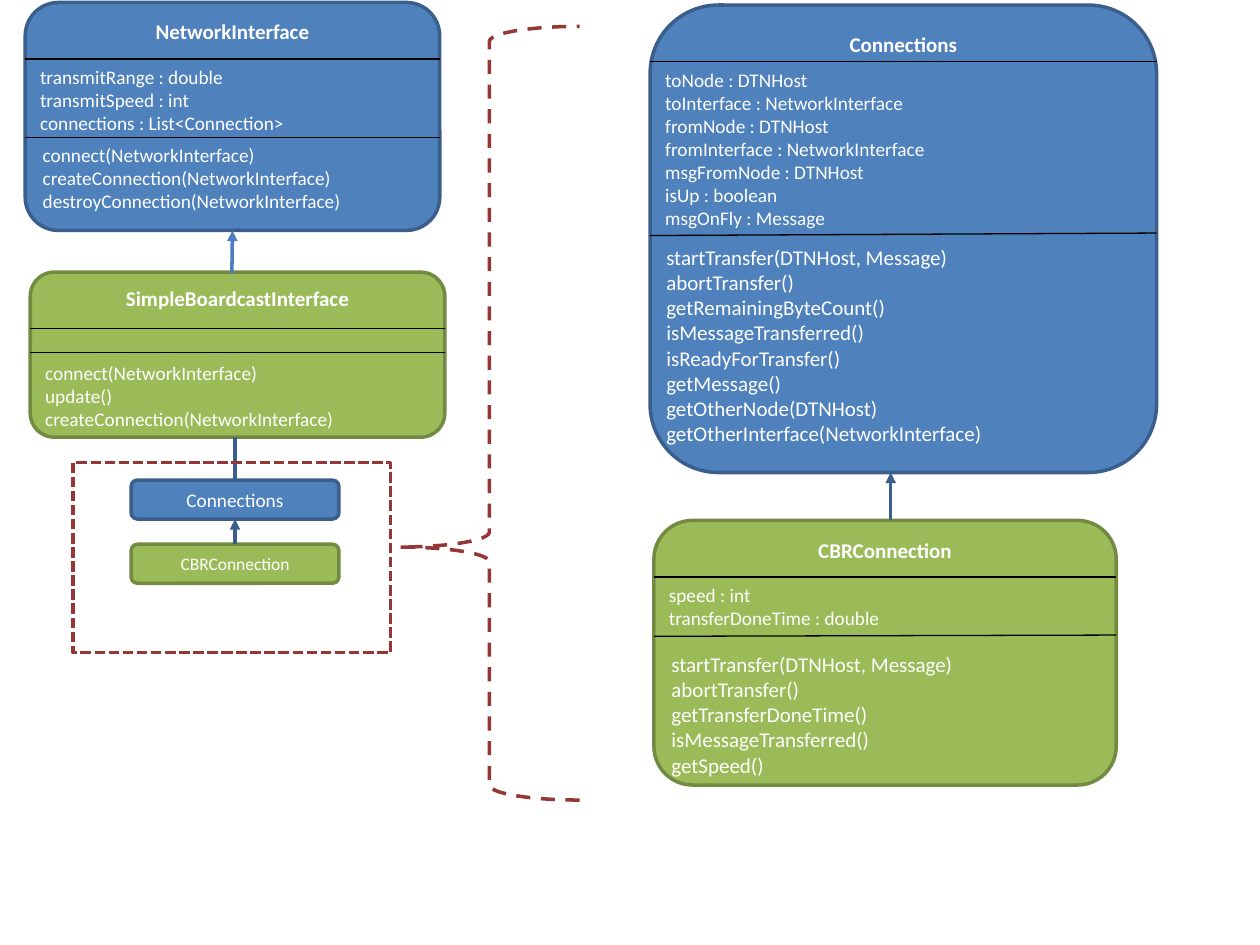
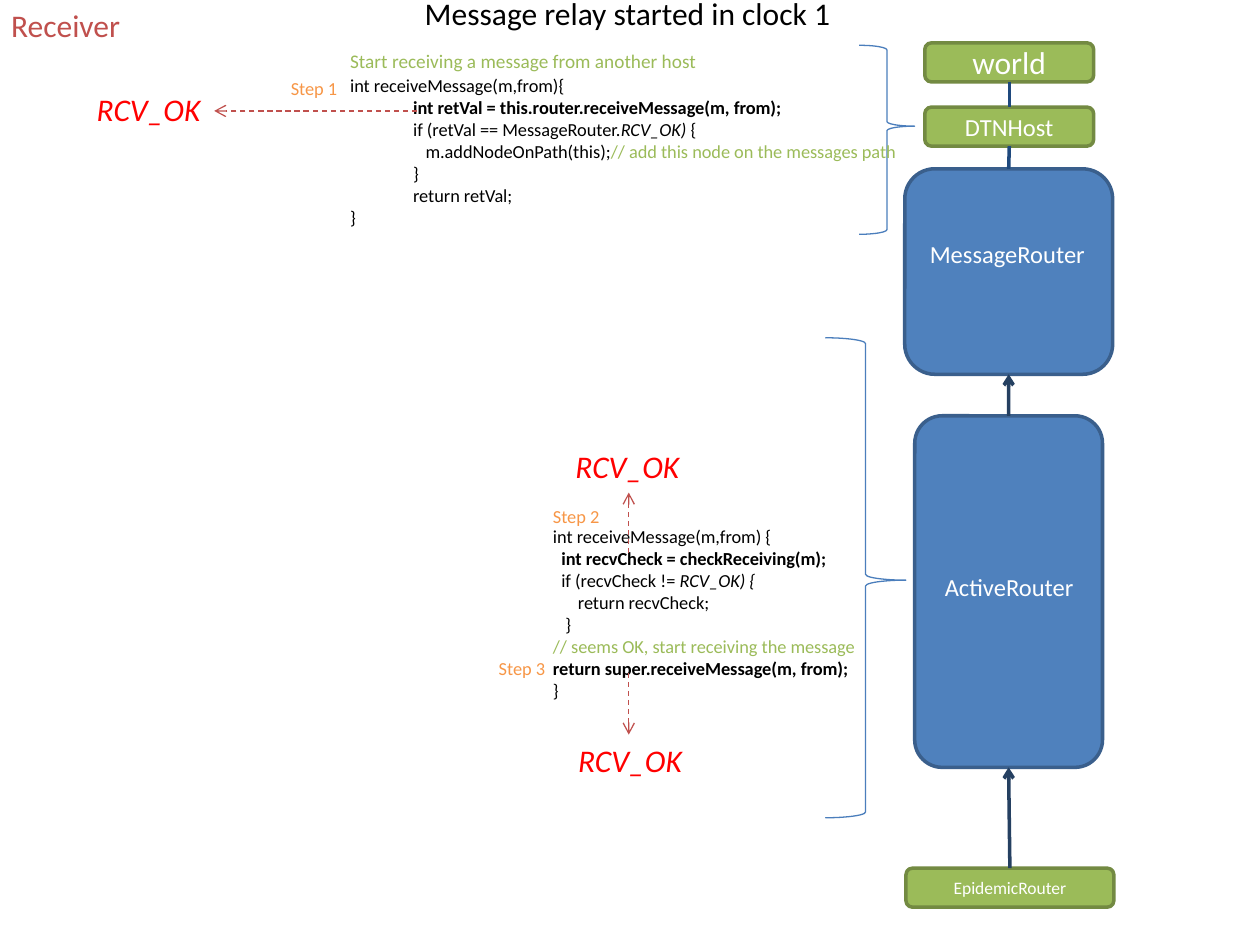
from lxml.etree import SubElement
from pptx import Presentation
from pptx.dml.color import RGBColor
from pptx.enum.dml import MSO_LINE
from pptx.enum.shapes import MSO_CONNECTOR, MSO_SHAPE
from pptx.enum.text import MSO_ANCHOR, PP_ALIGN
from pptx.oxml.ns import qn
from pptx.util import Pt

FONT = "Calibri"
WHITE, BLACK = "FFFFFF", "000000"
BLUE, BLUE_EDGE, BRACE_BLUE = "4F81BD", "3A5F8C", "4B7EBC"
GREEN, GREEN_EDGE = "9BBB59", "738A42"
NAVY, DARK_NAVY = "1F497D", "254061"
MAROON, BRICK, RED, ORANGE = "953735", "C0504D", "FF0000", "F79646"
EDGES = {BLUE: BLUE_EDGE, GREEN: GREEN_EDGE}
CORNER = 0.146
TOP, BOTTOM = 0, 2

CLASS_CARDS = [
    {"name": "NetworkInterface", "at": (14.4, 1.4, 236.9, 130.3), "fill": BLUE,
     "dividers": [(33.8, 33.8), (78.5, 78.5)],
     "members": [
         ((15.8, 33.8, 212.4, 47.5), 11,
          ["transmitRange : double", "transmitSpeed : int",
           "connections : List<Connection>"]),
         ((17.3, 78.5, 186.5, 60.5), 11,
          ["connect(NetworkInterface)", "createConnection(NetworkInterface)",
           "destroyConnection(NetworkInterface)"])]},
    {"name": "SimpleBoardcastInterface", "at": (17.3, 155.5, 236.9, 94.3), "fill": GREEN,
     "dividers": [(187.9, 187.9), (201.6, 201.6)],
     "members": [
         ((18.7, 203, 181.4, 47.5), 11,
          ["connect(NetworkInterface)", "update()",
           "createConnection(NetworkInterface)"])]},
    {"name": "Connections", "at": (371.5, 2.9, 289.4, 267.1), "fill": BLUE,
     "dividers": [(35.3, 35.3), (134.6, 133.2)],
     "members": [
         ((373, 35.3, 212.4, 100.8), 11,
          ["toNode : DTNHost", "toInterface : NetworkInterface",
           "fromNode : DTNHost", "fromInterface : NetworkInterface",
           "msgFromNode : DTNHost", "isUp : boolean", "msgOnFly : Message"]),
         ((373.7, 136.1, 196.6, 123.8), 12,
          ["startTransfer(DTNHost, Message)", "abortTransfer()",
           "getRemainingByteCount()", "isMessageTransferred()",
           "isReadyForTransfer()", "getMessage()", "getOtherNode(DTNHost)",
           "getOtherInterface(NetworkInterface)"])]},
    {"name": "CBRConnection", "at": (373.7, 297.4, 264.2, 151.2), "fill": GREEN,
     "dividers": [(329.8, 329.8), (363.6, 362.9)],
     "members": [
         ((375.1, 329.8, 212.4, 33.8), 11,
          ["speed : int", "transferDoneTime : double"]),
         ((376.6, 368.6, 177.1, 79.9), 12,
          ["startTransfer(DTNHost, Message)", "abortTransfer()",
           "getTransferDoneTime()", "isMessageTransferred()", "getSpeed()"])]},
]

STYLES = {
    "plain": {},
    "bold": {"bold": True},
    "italic": {"italic": True},
    "comment": {"color": GREEN},
}
HOST_CODE = [
    (0, [("int receiveMessage(m,from){", "plain")]),
    (36, [("int retVal = this.router.receiveMessage(m, from);", "bold")]),
    (36, [("if (retVal == MessageRouter.", "plain"), ("RCV_OK) ", "italic"), ("{", "plain")]),
    (43.1, [("m.addNodeOnPath(this);", "plain"),
            ("// add this node on the messages path", "comment")]),
    (36, [("}", "plain")]),
    (36, [("return retVal;", "plain")]),
    (0, [("}", "plain")]),
]
ROUTER_CODE = [
    (0, [("int receiveMessage(m,from) {", "plain")]),
    (4.75, [("int recvCheck = checkReceiving(m);", "bold")]),
    (4.75, [("if (recvCheck != ", "plain"), ("RCV_OK) {", "italic")]),
    (14.25, [("return recvCheck;", "plain")]),
    (7.1, [("}", "plain")]),
    (0, [("// seems OK, start receiving the message", "comment")]),
    (0, [("return super.receiveMessage(m, from);", "bold")]),
    (0, [("}", "plain")]),
]
STEPS = [("Step 1", 159.1, 40.3), ("Step 2", 308.9, 285.1), ("Step 3", 277.9, 372.2)]
RESULTS = [(48.2, 48.2), (321.8, 252), (323.3, 419.8)]
RESULT_ARROWS = [
    ((238.3, 63.4), (122.4, 63.4)),
    ((359.3, 316.1), (359.3, 281.5)),
    ((359.3, 384.5), (359.3, 419.8)),
]
HOST_STACK = [
    ("world", (528.5, 24.5, 96.5, 22.3), GREEN, 18),
    ("DTNHost", (528.5, 61.2, 96.5, 22.3), GREEN, 14),
    ("", (517, 96.5, 118.8, 117.4), BLUE, 14),
    ("", (522.7, 237.6, 107.3, 200.9), BLUE, 14),
    ("EpidemicRouter", (517.7, 496.1, 118.8, 22.3), GREEN, 10),
]
ROUTER_LABELS = [("MessageRouter", (524.2, 133.2, 104.4, 24.5)),
                 ("ActiveRouter", (532.8, 323.3, 89.3, 24.5))]
BRACES = [((491, 25.9, 31.7, 108), (0.083, 0.428)),
          ((471.6, 193, 46.1, 274.3), (0.072, 0.505))]


def rgb(color):
    return RGBColor.from_string(color)


def points(values):
    return [Pt(value) for value in values]


def style_font(font, color, bold=None, italic=None):
    font.color.rgb = rgb(color)
    font.bold = bold
    font.italic = italic


def write(frame, lines, size, color, align=PP_ALIGN.LEFT, style="plain"):
    for number, line in enumerate(lines):
        indent, spans = (0, [(line, style)]) if isinstance(line, str) else line
        para = frame.paragraphs[0] if number == 0 else frame.add_paragraph()
        para.alignment = align
        para.font.name = FONT
        para.font.size = Pt(size)
        if indent:
            properties = para._p.get_or_add_pPr()
            properties.set("marL", str(Pt(indent)))
            properties.set("indent", "0")
        for text, kind in spans:
            span = para.add_run()
            span.text = text
            target = para.font if len(spans) == 1 else span.font
            style_font(target, **{"color": color, **STYLES[kind]})


def add_text(page, at, lines, size, color, wrap=False, **options):
    box = page.shapes.add_textbox(*points(at))
    box.text_frame.word_wrap = wrap
    write(box.text_frame, lines, size, color, **options)


def add_outline(page, kind, at, color, width, dash=None, adjust=(), fill=None):
    shape = page.shapes.add_shape(kind, *points(at))
    shape.shadow.inherit = False
    if fill:
        shape.fill.solid()
        shape.fill.fore_color.rgb = rgb(fill)
    else:
        shape.fill.background()
    shape.line.color.rgb = rgb(color)
    shape.line.width = Pt(width)
    if dash:
        shape.line.dash_style = dash
    for index, value in enumerate(adjust):
        shape.adjustments[index] = value
    return shape


def add_box(page, name, at, fill, size, anchor=MSO_ANCHOR.MIDDLE, adjust=(), style="plain"):
    box = add_outline(page, MSO_SHAPE.ROUNDED_RECTANGLE, at, EDGES[fill], 2,
                      adjust=adjust, fill=fill)
    box.text_frame.vertical_anchor = anchor
    if name:
        write(box.text_frame, [name], size, WHITE, align=PP_ALIGN.CENTER, style=style)
    return box


def add_line(page, start, end, color, width, head=None, dash=None):
    line = page.shapes.add_connector(MSO_CONNECTOR.STRAIGHT, *points(start + end))
    line.line.color.rgb = rgb(color)
    line.line.width = Pt(width)
    if dash:
        line.line.dash_style = dash
    if head:
        SubElement(line.line._get_or_add_ln(), qn("a:tailEnd"), type=head)
    SubElement(line._element.spPr, qn("a:effectLst"))
    return line


def join(page, source, source_side, target, target_side, color, head=None):
    line = add_line(page, (0, 0), (0, 0), color, 2, head)
    line.begin_connect(source, source_side)
    line.end_connect(target, target_side)


def add_class_card(page, card):
    box = add_box(page, card["name"], card["at"], card["fill"], 12,
                  MSO_ANCHOR.TOP, (CORNER,), "bold")
    left, _, width, _ = card["at"]
    for start, end in card["dividers"]:
        add_line(page, (left, start), (left + width, end), BLACK, 0.75)
    for at, size, lines in card["members"]:
        add_text(page, at, lines, size, WHITE)
    return box


def build_class_diagram(page):
    connections = add_box(page, "Connections", (74.9, 274.3, 118.8, 22.3), BLUE, 11)
    cbr = add_box(page, "CBRConnection", (74.9, 311, 118.8, 22.3), GREEN, 10)
    join(page, cbr, TOP, connections, BOTTOM, BLUE_EDGE, "triangle")
    network = [add_class_card(page, card) for card in CLASS_CARDS][0]
    inherit = add_line(page, (132.5, 156.2), (132.5, 133.2), BRACE_BLUE, 2, "triangle")
    inherit.end_connect(network, BOTTOM)
    owner = add_line(page, (134.3, 249.8), (134.3, 274.3), BLUE_EDGE, 2)
    owner.end_connect(connections, TOP)
    add_line(page, (509, 297.4), (509, 270), BLUE_EDGE, 2, "triangle")
    add_outline(page, MSO_SHAPE.RECTANGLE, (41.8, 264.2, 181.4, 108.7),
                MAROON, 2, MSO_LINE.SQUARE_DOT)
    add_outline(page, MSO_SHAPE.LEFT_BRACE, (228.2, 15.1, 103, 442.1),
                MAROON, 2, MSO_LINE.DASH, (0.083, 0.673))


def build_receiver(page):
    world, host, message, active, epidemic = [
        add_box(page, name, at, fill, size, adjust=(CORNER,) if fill == BLUE else ())
        for name, at, fill, size in HOST_STACK]
    join(page, world, BOTTOM, host, TOP, NAVY)
    join(page, host, BOTTOM, message, TOP, NAVY)
    join(page, epidemic, TOP, active, BOTTOM, DARK_NAVY, "arrow")
    join(page, active, TOP, message, BOTTOM, DARK_NAVY, "arrow")
    for name, at in ROUTER_LABELS:
        add_text(page, at, [name], 14, WHITE)
    for at, adjust in BRACES:
        add_outline(page, MSO_SHAPE.RIGHT_BRACE, at, BRACE_BLUE, 0.75, adjust=adjust)

    add_text(page, (-0.7, 0, 77.8, 28.8), ["Receiver"], 18, BRICK)
    add_text(page, (34.6, -7.2, 648, 62.6), ["Message relay started in clock 1"],
             18, BLACK, wrap=True, align=PP_ALIGN.CENTER)
    add_text(page, (193, 24.5, 213.8, 20.9),
             ["Start receiving a message from another host"], 11, GREEN)
    add_text(page, (193, 38.9, 328.3, 96.5), HOST_CODE, 10.5, BLACK)
    add_text(page, (308.9, 296.6, 190.8, 108.7), ROUTER_CODE, 10.5, BLACK)
    for name, left, top in STEPS:
        add_text(page, (left, top, 41.8, 20.2), [name], 10.5, ORANGE)
    for left, top in RESULTS:
        add_text(page, (left, top, 74.2, 28.8), ["RCV_OK"], 18, RED, style="italic")
    for start, end in RESULT_ARROWS:
        add_line(page, start, end, BRICK, 0.75, "arrow", MSO_LINE.DASH)


def main():
    deck = Presentation()
    deck.slide_width, deck.slide_height = Pt(720), Pt(540)
    for build in (build_class_diagram, build_receiver):
        build(deck.slides.add_slide(deck.slide_layouts[6]))
    deck.save("out.pptx")


if __name__ == "__main__":
    main()
